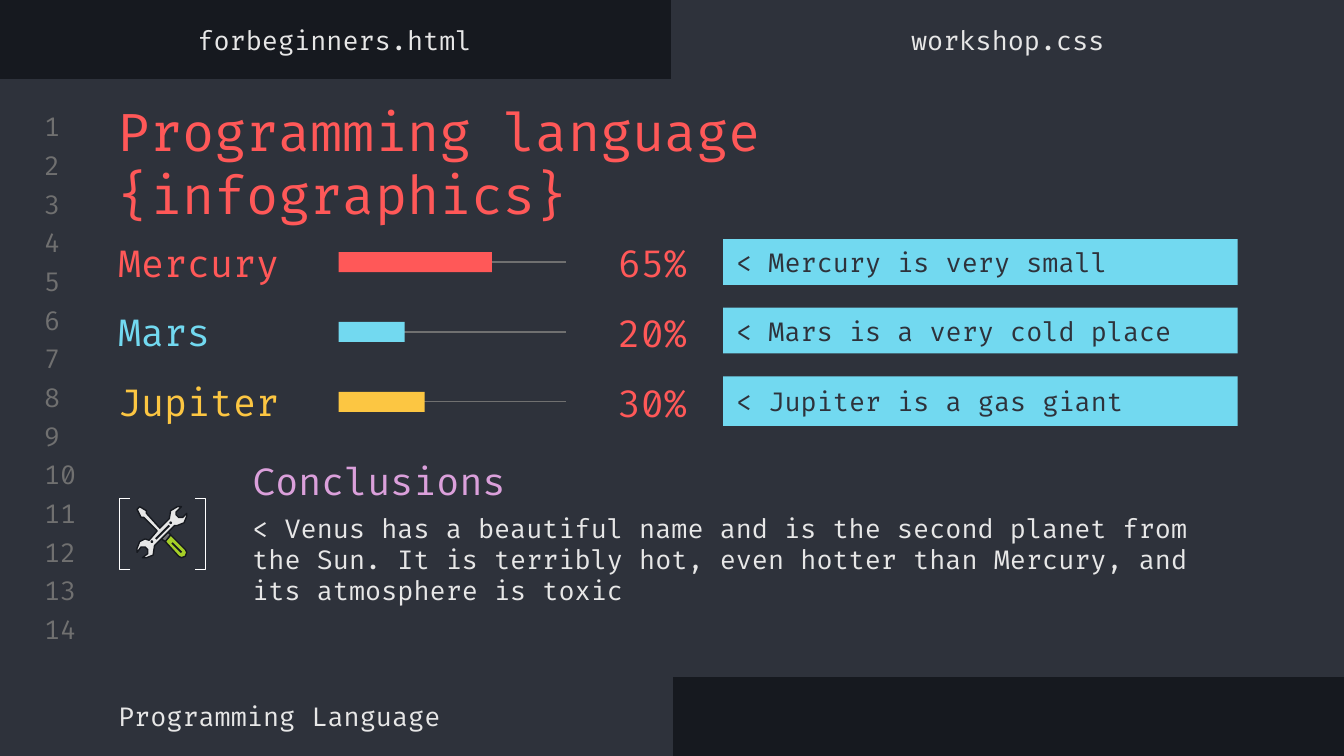
from dataclasses import dataclass

from lxml import etree
from pptx import Presentation
from pptx.dml.color import RGBColor
from pptx.enum.shapes import MSO_CONNECTOR, MSO_SHAPE
from pptx.enum.text import MSO_ANCHOR, PP_ALIGN
from pptx.oxml.ns import qn
from pptx.util import Inches, Pt

RECTANGLE = MSO_SHAPE.RECTANGLE
OVAL = MSO_SHAPE.OVAL
LEFT_BRACKET = MSO_SHAPE.LEFT_BRACKET
RIGHT_BRACKET = MSO_SHAPE.RIGHT_BRACKET
STRAIGHT = MSO_CONNECTOR.STRAIGHT
TOP, MIDDLE = MSO_ANCHOR.TOP, MSO_ANCHOR.MIDDLE
LEFT, CENTER = PP_ALIGN.LEFT, PP_ALIGN.CENTER

FONT = "Fira Code"
DARK, PANEL, GRAY, LIGHT, WHITE = "16191F", "2E323B", "707070", "E7E7E7", "FFFFFF"
RED, BLUE, YELLOW, PURPLE, GREEN = "FF5858", "72D9F0", "FCC642", "DBA0DB", "A5CF27"

SLIDE_WIDTH = 10
SLIDE_HEIGHT = SLIDE_WIDTH * 9 / 16
LINE_COUNT = 14
FIRST_NUMBER_TOP, LAST_NUMBER_TOP = 0.82, 4.56
ROW_PITCH, CALLOUT_PITCH = 0.52, 0.51
TRACK_LEFT, TRACK_RIGHT, TRACK_Y = 2.52, 4.21, 1.95
BAR_HEIGHT = 0.15


@dataclass
class Box:
    left: float
    top: float
    width: float
    height: float

    def lengths(self):
        return [Inches(v) for v in (self.left, self.top, self.width, self.height)]


@dataclass
class Label:
    text: str
    box: Box
    color: str = LIGHT
    size: int = 14
    align: PP_ALIGN = LEFT
    anchor: MSO_ANCHOR = MIDDLE


@dataclass
class Planet:
    name: str
    color: str
    bar_width: float
    share: str
    fact: str
    callout_height: float


@dataclass
class ToolPart:
    color: str
    points: list[tuple[float, float]]


PANELS = [Box(5, 0, 5, 0.65), Box(0, 4.98, 5, 0.65), Box(0, 0.59, 10, 4.44)]

LABELS = [
    Label("Programming language {infographics}", Box(0.78, 0.64, 8.44, 0.63), RED, 28, anchor=TOP),
    Label("Programming Language", Box(0.78, 5.13, 5.32, 0.39)),
    Label("forbeginners.html", Box(-0.01, 0.1, 5, 0.39), align=CENTER),
    Label("workshop.css", Box(5, 0.1, 5, 0.39), align=CENTER),
    Label("< Venus has a beautiful name and is the second planet from the Sun. "
          "It is terribly hot, even hotter than Mercury, and its atmosphere is toxic",
          Box(1.78, 3.71, 7.43, 0.86), anchor=TOP),
    Label("Conclusions", Box(1.78, 3.39, 7.43, 0.37), PURPLE, 20),
]

PLANETS = [
    Planet("Mercury", RED, 1.14, "65%", "< Mercury is very small", 0.34),
    Planet("Mars", BLUE, 0.49, "20%", "< Mars is a very cold place", 0.34),
    Planet("Jupiter", YELLOW, 0.64, "30%", "< Jupiter is a gas giant", 0.37),
]

TOOL_PARTS = [
    ToolPart(GREEN, [(1.27, 3.98), (1.23, 4.03), (1.33, 4.14), (1.35, 4.15),
                     (1.38, 4.14), (1.39, 4.11), (1.38, 4.09)]),
    ToolPart(GRAY, [(1.25, 3.96), (1.2, 4.01), (1.23, 4.03), (1.27, 3.98)]),
    ToolPart(LIGHT, [
        (1.04, 3.77), (1.02, 3.79), (1.05, 3.85), (1.07, 3.85), (1.17, 3.95),
        (1.11, 4.02), (1.08, 4.01), (1.04, 4.03), (1.02, 4.08), (1.02, 4.11),
        (1.05, 4.07), (1.08, 4.07), (1.1, 4.09), (1.1, 4.12), (1.06, 4.15),
        (1.09, 4.15), (1.14, 4.13), (1.15, 4.06), (1.3, 3.91), (1.32, 3.91),
        (1.37, 3.89), (1.39, 3.84), (1.39, 3.82), (1.36, 3.85), (1.33, 3.85),
        (1.31, 3.83), (1.31, 3.81), (1.35, 3.77), (1.32, 3.77), (1.27, 3.8),
        (1.26, 3.86), (1.19, 3.93), (1.09, 3.82), (1.09, 3.8)]),
]
RIVETS = [Box(1.26, 3.88, 0.02, 0.02), Box(1.12, 4.02, 0.02, 0.02)]
GROOVES = [((1.26, 3.91), (1.16, 4.01)), ((1.28, 4.04), (1.35, 4.11))]


def rgb(color: str) -> RGBColor:
    return RGBColor.from_string(color)


def paint(shape, fill: str | None = None, outline: str | None = None) -> None:
    shape.shadow.inherit = False
    if fill:
        shape.fill.solid()
        shape.fill.fore_color.rgb = rgb(fill)
    else:
        shape.fill.background()
    if outline:
        shape.line.color.rgb = rgb(outline)
        shape.line.width = Pt(0.75)
    else:
        shape.line.fill.background()


def draw_shape(slide, kind: MSO_SHAPE, box: Box, fill: str | None = None, outline: str | None = None):
    shape = slide.shapes.add_shape(kind, *box.lengths())
    paint(shape, fill, outline)
    return shape


def draw_line(slide, start: tuple, end: tuple, color: str, width: float):
    line = slide.shapes.add_connector(STRAIGHT, *[Inches(v) for v in (*start, *end)])
    line.line.color.rgb = rgb(color)
    line.line.width = Pt(width)
    etree.SubElement(line._element.spPr, qn("a:effectLst"))
    return line


def write(shape, label: Label) -> None:
    frame = shape.text_frame
    frame.word_wrap = True
    frame.vertical_anchor = label.anchor
    frame.margin_left = frame.margin_right = Inches(0.1)
    frame.margin_top = frame.margin_bottom = Inches(0.1)
    frame.text = label.text
    paragraph = frame.paragraphs[0]
    paragraph.alignment = label.align
    font = paragraph.runs[0].font
    font.name = FONT
    font.size = Pt(label.size)
    font.color.rgb = rgb(label.color)


def draw_label(slide, label: Label) -> None:
    write(slide.shapes.add_textbox(*label.box.lengths()), label)


def draw_planet(slide, row: int, planet: Planet) -> None:
    offset = row * ROW_PITCH
    callout_box = Box(5.38, 1.78 + row * CALLOUT_PITCH, 3.83, planet.callout_height)
    callout = draw_shape(slide, RECTANGLE, callout_box, BLUE)
    write(callout, Label(planet.fact, callout_box, PANEL))
    draw_label(slide, Label(planet.name, Box(0.78, 1.69 + offset, 1.58, 0.52), planet.color, 20))
    draw_label(slide, Label(planet.share, Box(4.37, 1.69 + offset, 0.97, 0.52), RED, 20, CENTER, TOP))

    y = TRACK_Y + offset
    track = draw_line(slide, (TRACK_LEFT, y), (TRACK_RIGHT, y), GRAY, 0.75)
    bar = draw_shape(slide, RECTANGLE,
                     Box(TRACK_LEFT, y - BAR_HEIGHT / 2, planet.bar_width, BAR_HEIGHT), planet.color)
    track.begin_connect(bar, 1)


def draw_tool_part(slide, part: ToolPart) -> None:
    start, *rest = [(Inches(x), Inches(y)) for x, y in part.points]
    builder = slide.shapes.build_freeform(*start)
    builder.add_line_segments(rest, close=True)
    paint(builder.convert_to_shape(), part.color, DARK)


def draw_tools(slide) -> None:
    for part in TOOL_PARTS:
        draw_tool_part(slide, part)
    for rivet in RIVETS:
        draw_shape(slide, OVAL, rivet, DARK)
    for start, end in GROOVES:
        draw_line(slide, start, end, DARK, 1)
    for kind, left in ((RIGHT_BRACKET, 1.45), (LEFT_BRACKET, 0.89)):
        bracket = draw_shape(slide, kind, Box(left, 3.71, 0.08, 0.53), outline=WHITE)
        bracket.adjustments[0] = 0


def main() -> None:
    deck = Presentation()
    deck.slide_width, deck.slide_height = Inches(SLIDE_WIDTH), Inches(SLIDE_HEIGHT)
    slide = deck.slides.add_slide(deck.slide_layouts[6])
    slide.background.fill.solid()
    slide.background.fill.fore_color.rgb = rgb(DARK)

    for panel in PANELS:
        draw_shape(slide, RECTANGLE, panel, PANEL, PANEL)
    number_pitch = (LAST_NUMBER_TOP - FIRST_NUMBER_TOP) / (LINE_COUNT - 1)
    for index in range(LINE_COUNT):
        number_box = Box(0.23, FIRST_NUMBER_TOP + index * number_pitch, 0.47, 0.24)
        draw_label(slide, Label(str(index + 1), number_box, GRAY))
    for label in LABELS:
        draw_label(slide, label)
    for row, planet in enumerate(PLANETS):
        draw_planet(slide, row, planet)
    draw_tools(slide)
    deck.save("out.pptx")


if __name__ == "__main__":
    main()
